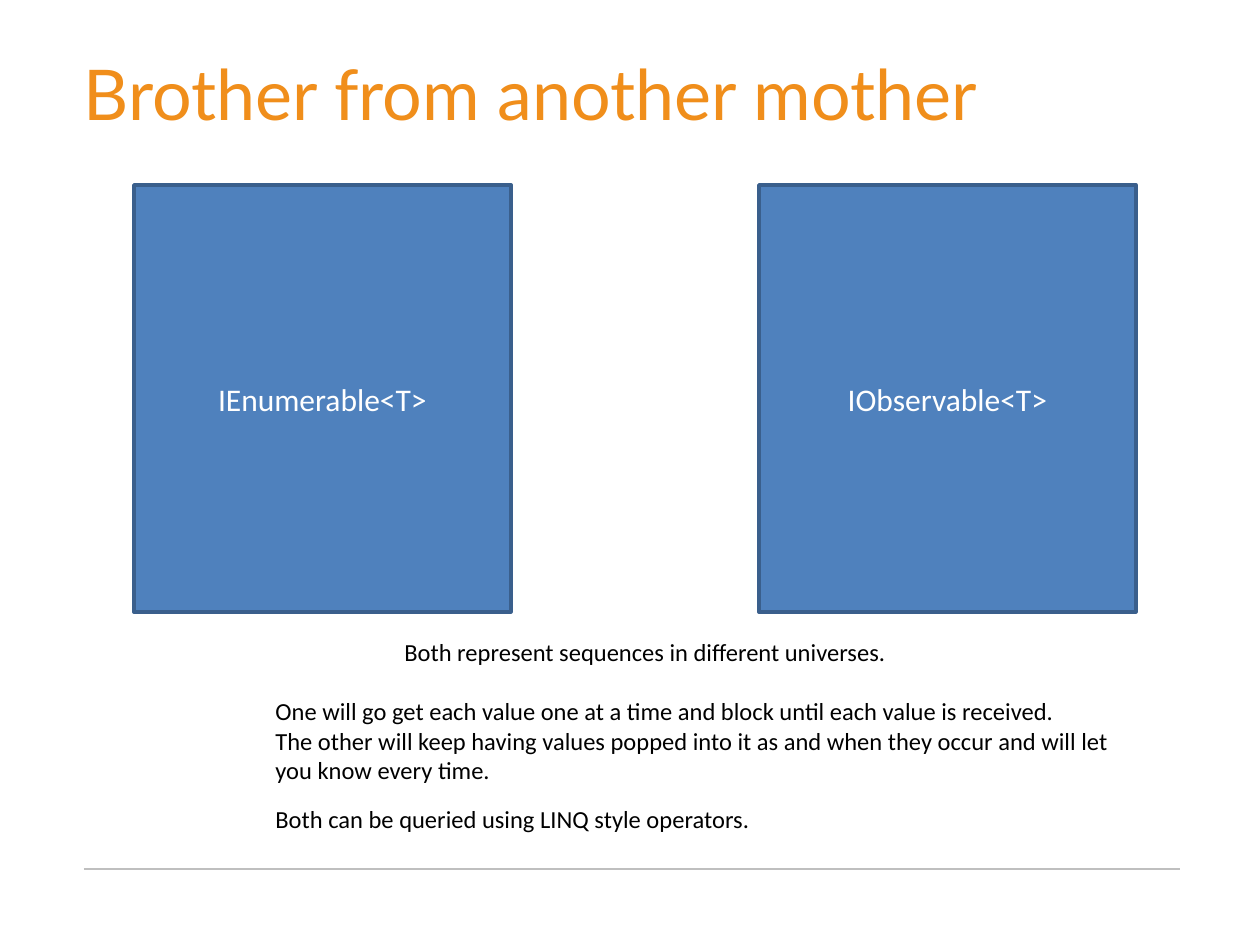
import pptx
import pptx.util
import pptx.dml.color
import pptx.enum.shapes
import pptx.enum.text
import pptx.oxml.ns
import lxml.etree

RGB = pptx.dml.color.RGBColor
ORANGE = RGB(0xF0, 0x8E, 0x1B)
BLUE = RGB(0x4F, 0x81, 0xBD)
DARK_BLUE = RGB(0x3A, 0x5F, 0x8C)
GREY = RGB(0xBF, 0xBF, 0xBF)
WHITE = RGB(255, 255, 255)
BLACK = RGB(0, 0, 0)

# Content
TITLE = "Brother from another mother"
INTERFACES = ["IEnumerable<T>", "IObservable<T>"]
NOTES = [  # left, top, width, height, wraps, paragraphs
    (392, 631, 512, 43, False,
     ["Both represent sequences in different universes."]),
    (263, 690, 873, 102, True,
     ["One will go get each value one at a time and block until each value is received.",
      "The other will keep having values popped into it as and when they occur "
      "and will let you know every time."]),
    (263, 798, 873, 43, True,
     ["Both can be queried using LINQ style operators."]),
]

# Layout in px
BOX_LEFT, BOX_TOP, BOX_W, BOX_H, BOX_STEP = 134, 185, 377, 427, 625


def px(*lengths):
    return [round(n * 914400 / 126) for n in lengths]


def style(p, size, color, font="Calibri"):
    p.font.size = pptx.util.Pt(size)
    p.font.name = font
    p.font.color.rgb = color


prs = pptx.Presentation()
prs.slide_width, prs.slide_height = px(1260, 945)
s = prs.slides.add_slide(prs.slide_layouts[5])

# Footer rule
rule = s.shapes.add_connector(
    pptx.enum.shapes.MSO_CONNECTOR.STRAIGHT, *px(84, 869, 1180, 869))
rule.line.color.rgb = GREY
rule.line.width = pptx.util.Pt(0.75)
lxml.etree.SubElement(rule._element.spPr, pptx.oxml.ns.qn("a:effectLst"))

# Title
title = s.shapes.title
title.left, title.top, title.width, title.height = px(84, 26, 1101, 140)
tf = title.text_frame
tf.text = TITLE
tf.margin_left = tf.margin_top = 0
tf.vertical_anchor = pptx.enum.text.MSO_ANCHOR.MIDDLE
tf.paragraphs[0].alignment = pptx.enum.text.PP_ALIGN.LEFT
style(tf.paragraphs[0], 40, ORANGE, "Lato")

# Interface boxes
for i, name in enumerate(INTERFACES):
    sp = s.shapes.add_shape(
        pptx.enum.shapes.MSO_SHAPE.RECTANGLE,
        *px(BOX_LEFT + i * BOX_STEP, BOX_TOP, BOX_W, BOX_H))
    sp.shadow.inherit = False
    sp.fill.solid()
    sp.fill.fore_color.rgb = BLUE
    sp.line.color.rgb = DARK_BLUE
    sp.line.width = pptx.util.Pt(2)
    tf = sp.text_frame
    tf.text = name
    tf.vertical_anchor = pptx.enum.text.MSO_ANCHOR.MIDDLE
    tf.paragraphs[0].alignment = pptx.enum.text.PP_ALIGN.CENTER
    style(tf.paragraphs[0], 18, WHITE)

# Explanations
for left, top, width, height, wraps, lines in NOTES:
    tf = s.shapes.add_textbox(*px(left, top, width, height)).text_frame
    tf.word_wrap = wraps
    tf.auto_size = pptx.enum.text.MSO_AUTO_SIZE.SHAPE_TO_FIT_TEXT
    tf.text = "\n".join(lines)
    for p in tf.paragraphs:
        style(p, 14, BLACK)

prs.save("out.pptx")
